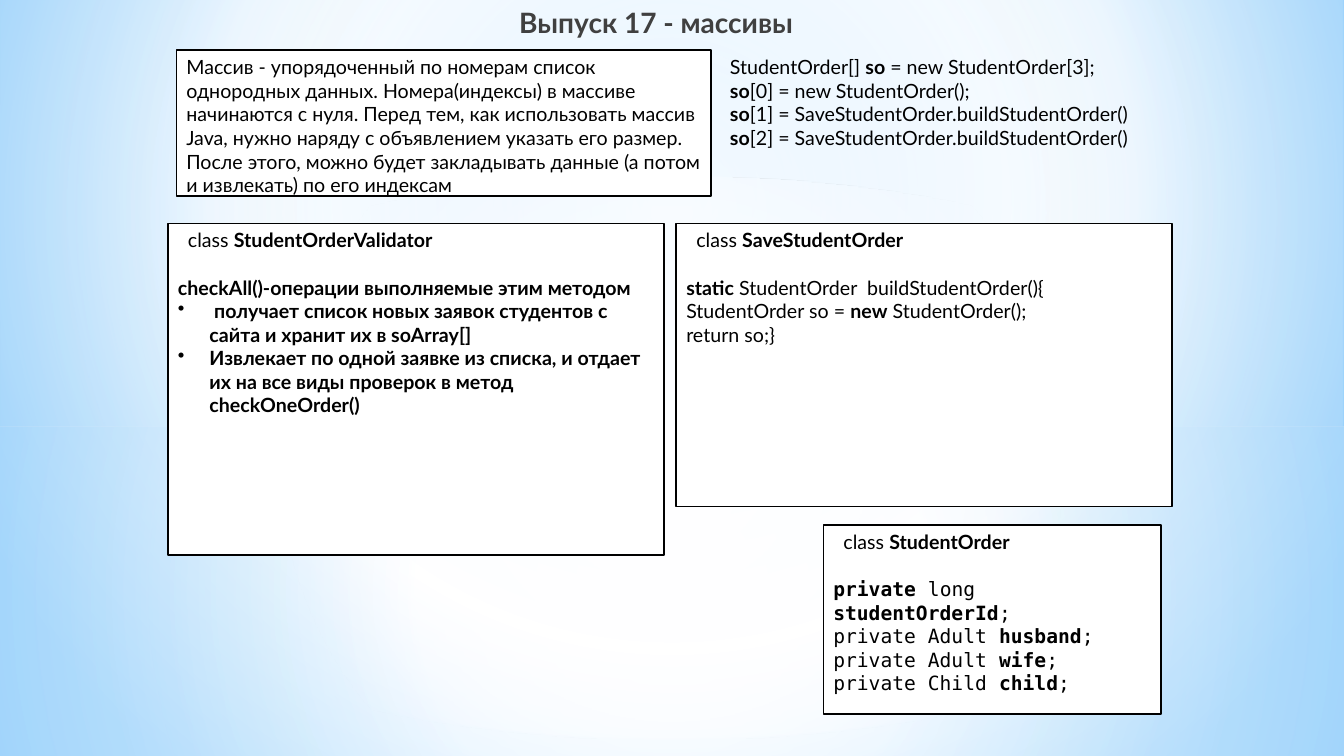
import pptx
import pptx.util
import pptx.dml.color
import pptx.enum.shapes
import pptx.enum.text
import pptx.oxml
import pptx.oxml.ns

Pt = pptx.util.Pt
Kind = pptx.enum.shapes.MSO_SHAPE
Text = pptx.enum.text
qn = pptx.oxml.ns.qn

deck = pptx.Presentation()
deck.slide_width = pptx.util.Inches(13.33)
deck.slide_height = pptx.util.Inches(7.5)
unit = deck.slide_height / 90  # the slide is a grid of 160 columns by 90 rows
slide = deck.slides.add_slide(deck.slide_layouts[5])


def tint(color, code):
    color.rgb = pptx.dml.color.RGBColor.from_string(code)


def grade(host, stops, focus):
    """Replace the first solid fill by a gradient; focus None runs downwards."""
    marks = "".join(
        f'<a:gs pos="{pos * 1000}"><a:srgbClr val="{code}">'
        f'<a:alpha val="{alpha * 1000}"/></a:srgbClr></a:gs>'
        for pos, code, alpha in stops)
    if focus:
        sides = " ".join(f'{s}="{v * 1000}"' for s, v in zip("ltrb", focus))
        way = f'<a:path path="circle"><a:fillToRect {sides}/></a:path>'
    else:
        way = '<a:lin ang="5400000" scaled="0"/>'
    old = next(host.iter(qn("a:solidFill")))
    old.getparent().replace(old, pptx.oxml.parse_xml(
        f'<a:gradFill {pptx.oxml.ns.nsdecls("a")} rotWithShape="1">'
        f'<a:gsLst>{marks}</a:gsLst>{way}</a:gradFill>'))


# Background and its layers of light
white, pale = "FFFFFF", "B4DCFA"
slide.background.fill.solid()
grade(slide.element, [(0, "9ED5FF", 100), (60, white, 100), (100, "5BB9FF", 100)],
      (20, 10, 20, 60))
mid = (50, 50, 50, 50)
layers = [
    (Kind.RECTANGLE, 50.8, 39.2, mid, [(0, white, 91), (37, white, 76), (100, pale, 79)]),
    (Kind.RECTANGLE, 0, 50.8, mid, [(0, white, 89), (48, white, 62), (100, pale, 79)]),
    (Kind.RECTANGLE, 34.8, 30, None, [(0, white, 0), (29, white, 30), (45, pale, 40),
                                      (55, white, 26), (65, pale, 60), (100, white, 0)]),
    (Kind.OVAL, 21, 67, mid, [(0, white, 100), (54, white, 0)]),
]
for kind, top, high, focus, stops in layers:
    layer = slide.shapes.add_shape(kind, 0, int(top * unit), deck.slide_width, int(high * unit))
    layer.shadow.inherit = False
    layer.fill.solid()
    layer.line.fill.background()
    grade(layer.element, stops, focus)

# Title, raised above the layers
title = slide.shapes.title
title.element.getparent().append(title.element)
title.left, title.top, title.width, title.height = (
    int(n * unit) for n in (29.8, 0, 94.2, 7))
title.text = "Выпуск 17 - массивы"
frame = title.text_frame
frame.auto_size = Text.MSO_AUTO_SIZE.NONE
frame.vertical_anchor = Text.MSO_ANCHOR.TOP
head = frame.paragraphs[0]
head.alignment = Text.PP_ALIGN.CENTER
head.font.name, head.font.size, head.font.bold = "Lato", Pt(20), True
tint(head.font.color, "404040")
head._p.get_or_add_pPr().set("marL", str(int(2.4 * unit)))

# Boxes: shape, place on the grid, class name, body font, lines (*bold*, • bullet)
lato, mono = "Lato", "DejaVu Sans Mono"
boxes = [
    (Kind.FLOWCHART_PROCESS, (21, 6, 63.6, 17.3), None, lato, [
        "Массив - упорядоченный по номерам список однородных данных. "
        "Номера(индексы) в массиве начинаются с нуля. Перед тем, как использовать "
        "массив Java, нужно наряду с объявлением указать его размер. После этого, "
        "можно будет закладывать данные (а потом и извлекать) по его индексам"]),
    (None, (85.7, 6, 55, 12.5), None, lato, [
        "StudentOrder[] *so* = new StudentOrder[3];",
        "*so*[0] = new StudentOrder();",
        "*so*[1] = SaveStudentOrder.buildStudentOrder()",
        "*so*[2] = SaveStudentOrder.buildStudentOrder()"]),
    (Kind.RECTANGLE, (20, 26.6, 59, 39.5), "StudentOrderValidator", lato, [
        "*checkAll()-операции выполняемые этим методом*",
        "•* получает список новых заявок студентов с сайта и хранит их в soArray[]*",
        "•*Извлекает по одной заявке из списка, и отдает их на все виды проверок "
        "в метод checkOneOrder()*"]),
    (Kind.RECTANGLE, (80.5, 26.6, 59, 33.7), "SaveStudentOrder", lato, [
        "*static* StudentOrder  buildStudentOrder(){",
        "StudentOrder so = *new* StudentOrder();",
        "return so;}"]),
    (Kind.RECTANGLE, (98, 62.5, 40.2, 22.5), "StudentOrder", mono, [
        "*private* long *studentOrderId*;",
        "private Adult *husband*;",
        "private Adult *wife*;",
        "private Child *child*;"]),
]
for kind, place, name, face, lines in boxes:
    spot = [int(n * unit) for n in place]
    if kind is None:
        box = slide.shapes.add_textbox(*spot)
    else:
        box = slide.shapes.add_shape(kind, *spot)
        box.shadow.inherit = False
        box.fill.solid()
        tint(box.fill.fore_color, white)
        tint(box.line.color, "000000")
        box.line.width = Pt(1.25)
    frame = box.text_frame
    frame.word_wrap = True
    frame.vertical_anchor = Text.MSO_ANCHOR.TOP
    rows = [f"class *{name}*"] + lines if name else lines
    for i, row in enumerate(rows):
        para = frame.paragraphs[0] if i == 0 else frame.add_paragraph()
        para.alignment = Text.PP_ALIGN.LEFT
        para.font.name = lato if name and i == 0 else face
        para.font.size = Pt(14)
        tint(para.font.color, "000000")
        props = para._p.get_or_add_pPr()
        if name and i == 0:
            props.set("marL", str(int(1.2 * unit)))
        if name and i == 1:
            para.space_before = Pt(16.8)
        if row.startswith("•"):
            dent = int(3.75 * unit)
            props.set("marL", str(dent))
            props.set("indent", str(-dent))
            mark = pptx.oxml.parse_xml(
                f'<a:buChar {pptx.oxml.ns.nsdecls("a")} char="•"/>')
            props.insert_element_before(mark, "a:tabLst", "a:defRPr", "a:extLst")
        for j, part in enumerate(row.removeprefix("•").split("*")):
            if part:
                run = para.add_run()
                run.text = part
                if j % 2:
                    run.font.bold = True

deck.save("out.pptx")
